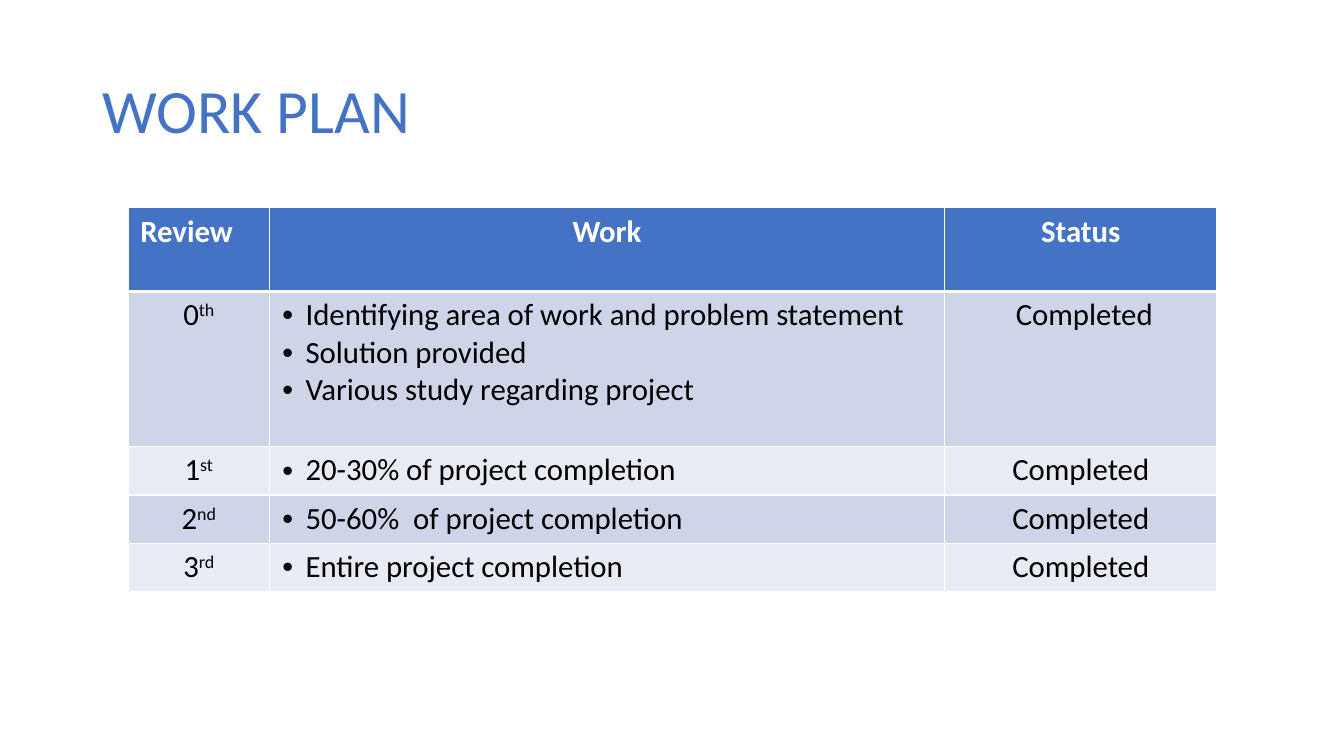
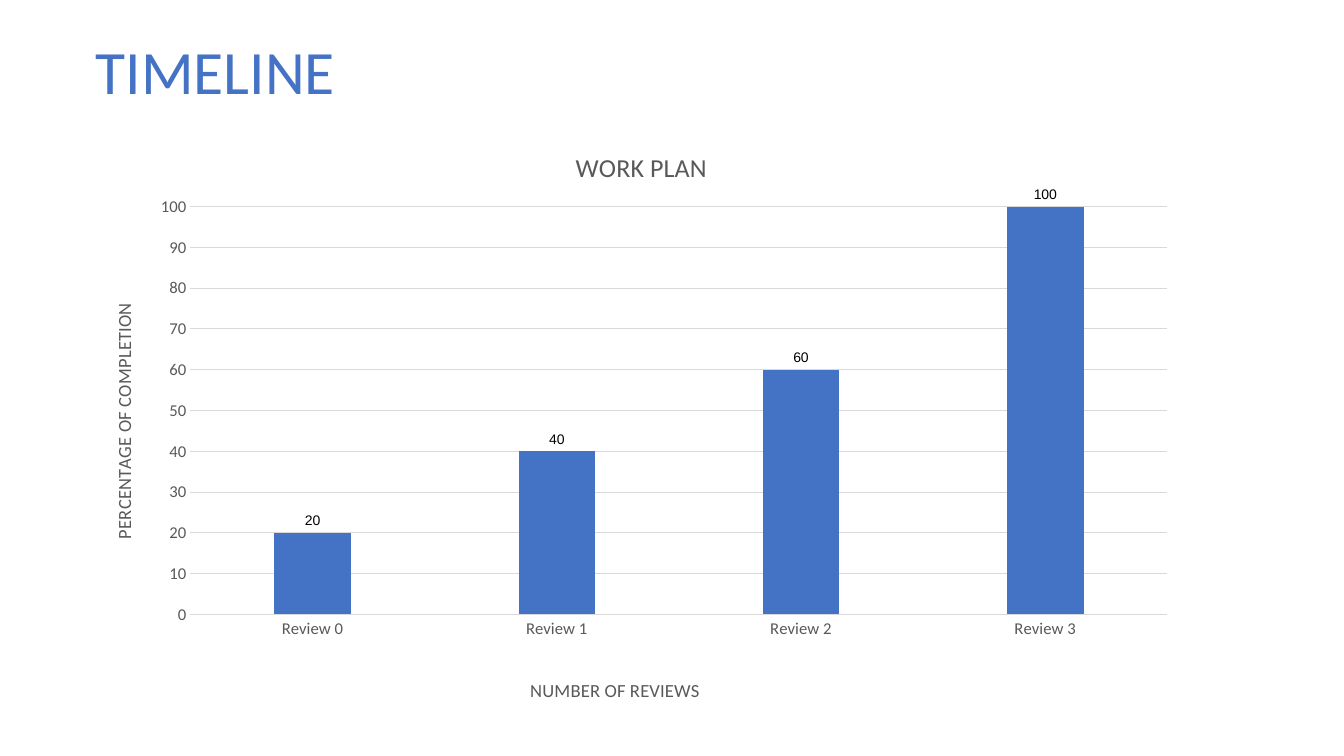
from dataclasses import dataclass

from lxml import etree
from pptx import Presentation
from pptx import util as u
from pptx.chart import data as chart_data
from pptx.dml.color import RGBColor
from pptx.enum import chart as chart_enum
from pptx.enum import text
from pptx.oxml import ns

COLOURS = {
    "accent": "4472C4",
    "white": "FFFFFF",
    "black": "000000",
    "band_dark": "CFD5E9",
    "band_light": "E8EBF4",
    "chart_text": "595959",
    "grid": "D9D9D9",
}
FONT = "Calibri"
LABEL_FONT = "Arial"
CENTRE = text.PP_ALIGN.CENTER
JUSTIFY = text.PP_ALIGN.JUSTIFY


@dataclass(frozen=True)
class Box:
    left: float
    top: float
    width: float
    height: float

    def lengths(self) -> tuple:
        return tuple(u.Pt(v) for v in (self.left, self.top, self.width, self.height))


@dataclass(frozen=True)
class Review:
    number: str
    suffix: str
    work: tuple[str, ...]
    status: str
    height: float = 34.56


REVIEWS = (
    Review("0", "th", ("Identifying area of work and problem statement",
                       "Solution provided",
                       "Various study regarding project"), " Completed", 110.88),
    Review("1", "st", ("20-30% of project completion",), "Completed"),
    Review("2", "nd", ("50-60%  of project completion",), "Completed"),
    Review("3", "rd", ("Entire project completion",), "Completed"),
)
HEADINGS = (("Review", JUSTIFY), ("Work", CENTRE), ("Status", CENTRE))
COLUMN_WIDTHS = (100.8, 482.4, 194.4)
HEADER_HEIGHT = 59.76
PROGRESS = {"Review 0": 20, "Review 1": 40, "Review 2": 60, "Review 3": 100}


def rgb(name: str) -> RGBColor:
    return RGBColor.from_string(COLOURS[name])


def add_child(parent, tag: str, **attributes: str):
    return etree.SubElement(parent, ns.qn(tag), attributes)


def style_font(font, size: float, colour: str, name: str = FONT, bold: bool = False) -> None:
    font.size = u.Pt(size)
    font.name = name
    font.bold = bold
    font.color.rgb = rgb(colour)


def add_run(paragraph, words: str, size: float, colour: str, bold: bool = False):
    run = paragraph.add_run()
    run.text = words
    style_font(run.font, size, colour, bold=bold)
    return run


def add_title(slide, words: str, box: Box) -> None:
    frame = slide.shapes.add_textbox(*box.lengths()).text_frame
    frame.word_wrap = True
    frame.vertical_anchor = text.MSO_ANCHOR.MIDDLE
    paragraph = frame.paragraphs[0]
    paragraph.line_spacing = 0.9
    add_run(paragraph, words, 44, "accent")


def style_cell(cell, fill: str, top: float, bottom: float) -> None:
    cell.margin_left = cell.margin_right = u.Pt(8.64)
    cell.margin_top = cell.margin_bottom = u.Pt(3.6)
    properties = cell._tc.get_or_add_tcPr()
    for side, width in (("L", 0.96), ("R", 0.96), ("T", top), ("B", bottom)):
        line = add_child(properties, f"a:ln{side}", w=str(u.Pt(width)))
        add_child(add_child(line, "a:solidFill"), "a:srgbClr", val=COLOURS["white"])
    cell.fill.solid()
    cell.fill.fore_color.rgb = rgb(fill)


def add_bullet(paragraph) -> None:
    properties = paragraph._p.get_or_add_pPr()
    properties.set("marL", str(u.Pt(17.28)))
    properties.set("indent", str(u.Pt(-16.56)))
    add_child(add_child(properties, "a:buClr"), "a:srgbClr", val=COLOURS["black"])
    add_child(properties, "a:buFont", typeface=LABEL_FONT)
    add_child(properties, "a:buChar", char="•")


def cell_run(paragraph, words: str, alignment, colour: str = "black", bold: bool = False):
    paragraph.alignment = alignment
    return add_run(paragraph, words, 22, colour, bold)


def fill_review(cells, review: Review) -> None:
    number, work, status = (cell.text_frame for cell in cells)
    cell_run(number.paragraphs[0], review.number, CENTRE)
    suffix = cell_run(number.paragraphs[0], review.suffix, CENTRE)
    suffix.font._element.set("baseline", "30000")
    for index, item in enumerate(review.work):
        paragraph = work.add_paragraph() if index else work.paragraphs[0]
        cell_run(paragraph, item, JUSTIFY)
        add_bullet(paragraph)
    cell_run(status.paragraphs[0], review.status, CENTRE)


def add_work_table(slide) -> None:
    heights = (HEADER_HEIGHT, *(review.height for review in REVIEWS))
    box = Box(91.6, 148.4, sum(COLUMN_WIDTHS), sum(heights))
    table = slide.shapes.add_table(len(heights), len(COLUMN_WIDTHS), *box.lengths()).table
    table.first_row = table.horz_banding = False
    for column, width in zip(table.columns, COLUMN_WIDTHS):
        column.width = u.Pt(width)
    for index, (row, height) in enumerate(zip(table.rows, heights)):
        row.height = u.Pt(height)
        fill = "accent" if index == 0 else ("band_light", "band_dark")[index % 2]
        for cell in row.cells:
            style_cell(cell, fill, 3 if index == 1 else 0.96, 3 if index == 0 else 0.96)
        if index:
            fill_review(row.cells, REVIEWS[index - 1])
    for cell, (words, alignment) in zip(table.rows[0].cells, HEADINGS):
        cell_run(cell.text_frame.paragraphs[0], words, alignment, "white", True)


def place(element, position: int, **fractions: float) -> None:
    for previous in element.findall(ns.qn("c:layout")):
        element.remove(previous)
    layout = etree.Element(ns.qn("c:layout"))
    manual = add_child(layout, "c:manualLayout")
    if "w" in fractions:
        add_child(manual, "c:layoutTarget", val="inner")
    for axis in ("x", "y"):
        add_child(manual, f"c:{axis}Mode", val="edge")
    for key, value in fractions.items():
        add_child(manual, f"c:{key}", val=str(value))
    element.insert(position, layout)


def set_chart_title(owner, words: str, size: float, x: float, y: float) -> None:
    title = owner.chart_title if hasattr(owner, "chart_title") else owner.axis_title
    add_run(title.text_frame.paragraphs[0], words, size, "chart_text")
    place(title._element, 1, x=x, y=y)


def style_axis(axis) -> None:
    axis.major_tick_mark = axis.minor_tick_mark = chart_enum.XL_TICK_MARK.NONE
    style_font(axis.tick_labels.font, 11.9, "chart_text")


def style_line(line) -> None:
    line.width = u.Pt(0.75)
    line.color.rgb = rgb("grid")


def add_progress_chart(slide) -> None:
    data = chart_data.CategoryChartData()
    data.categories = list(PROGRESS)
    data.add_series("Series 1", list(PROGRESS.values()))
    box = Box(61.2, 86.4, 787.68, 419.76)
    chart = slide.shapes.add_chart(
        chart_enum.XL_CHART_TYPE.COLUMN_CLUSTERED, *box.lengths(), data).chart
    chart.has_legend = False
    style_font(chart.font, 10, "black", LABEL_FONT)
    set_chart_title(chart, "WORK PLAN", 18.6, 0.44, 0.04)
    set_chart_title(chart.category_axis, "NUMBER OF REVIEWS", 13.3, 0.4, 0.95)
    set_chart_title(chart.value_axis, "PERCENTAGE OF COMPLETION", 13.3, 0.02, 0.31)
    place(chart._chartSpace.chart.plotArea, 0, x=0.095, y=0.147, w=0.886, h=0.7)

    style_axis(chart.category_axis)
    style_line(chart.category_axis.format.line)
    values = chart.value_axis
    style_axis(values)
    values.minimum_scale, values.maximum_scale, values.major_unit = 0, 100, 10
    values.format.line.fill.background()
    style_line(values.major_gridlines.format.line)

    plot = chart.plots[0]
    plot.gap_width, plot.overlap = 219, -27
    plot.vary_by_categories = False
    series = plot.series[0]
    series.format.fill.solid()
    series.format.fill.fore_color.rgb = rgb("accent")
    labels = series.data_labels
    labels.show_value = True
    labels.position = chart_enum.XL_LABEL_POSITION.OUTSIDE_END
    style_font(labels.font, 10, "black", LABEL_FONT)


def main() -> None:
    presentation = Presentation()
    presentation.slide_width, presentation.slide_height = u.Pt(960), u.Pt(540)
    blank = presentation.slide_layouts[6]

    work_plan = presentation.slides.add_slide(blank)
    add_title(work_plan, "WORK PLAN", Box(66.24, 28.8, 828, 104.4))
    add_work_table(work_plan)

    timeline = presentation.slides.add_slide(blank)
    add_title(timeline, "TIMELINE", Box(61.2, 33.12, 586.08, 39.6))
    add_progress_chart(timeline)

    presentation.save("out.pptx")


if __name__ == "__main__":
    main()
